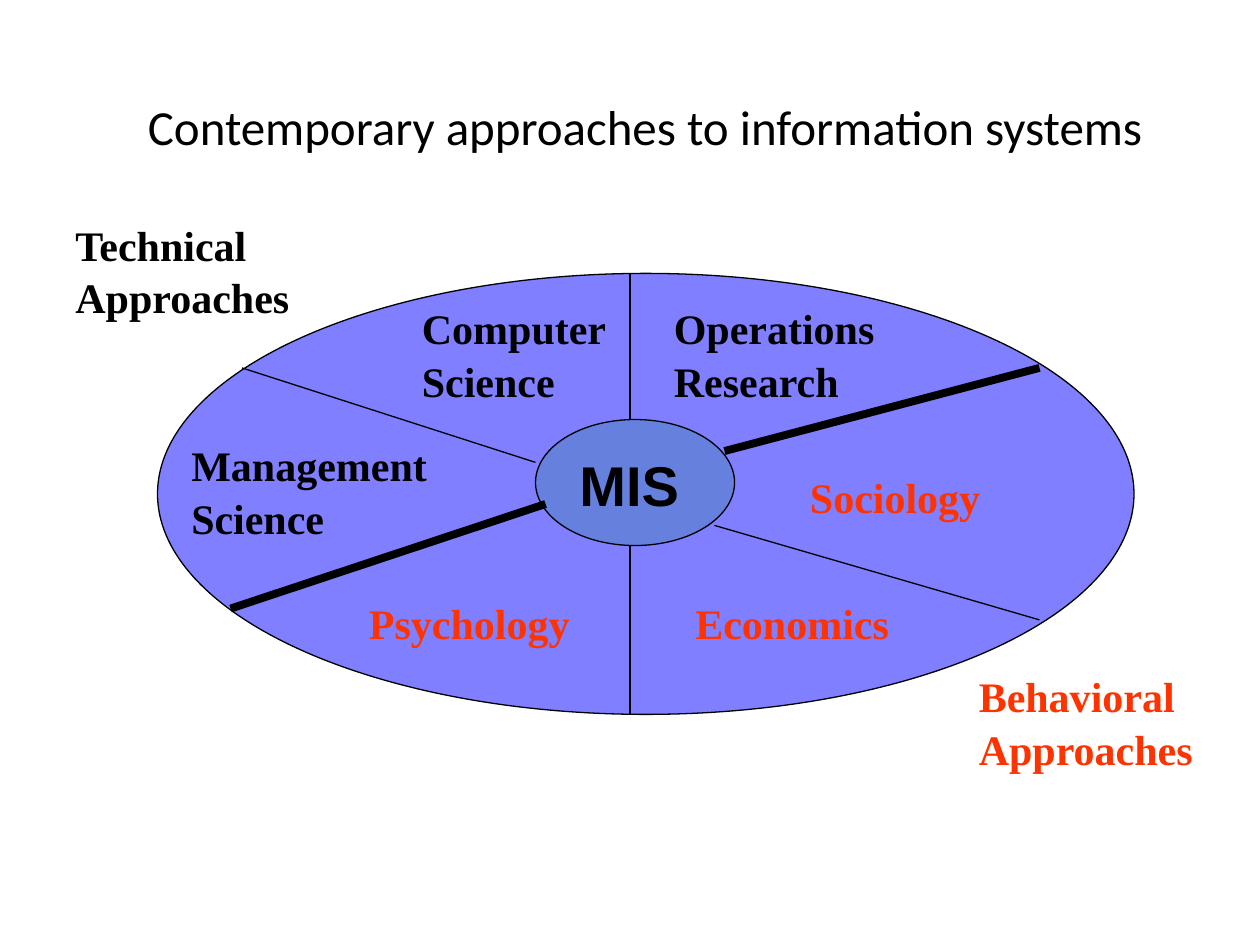
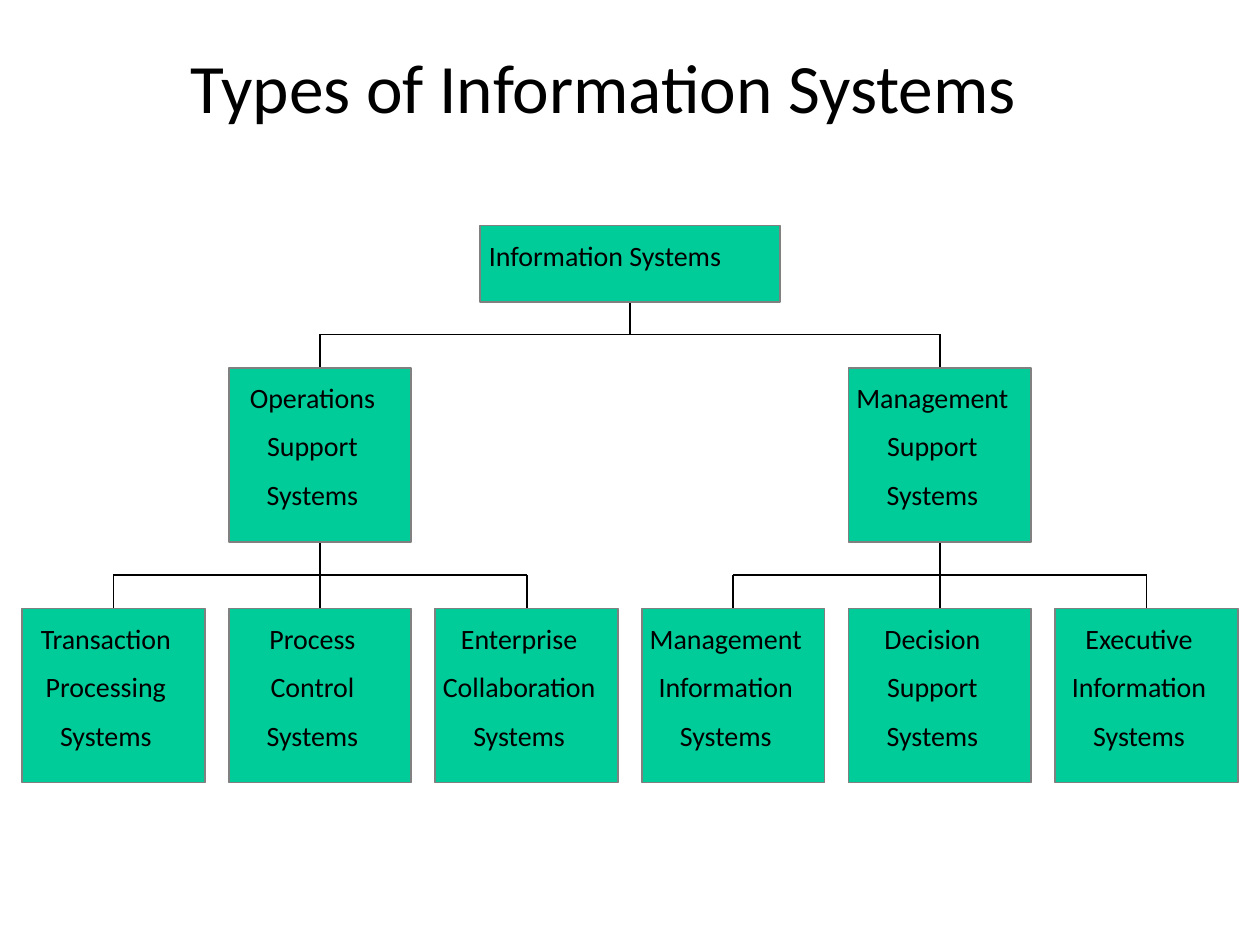
from dataclasses import dataclass

from lxml.etree import SubElement
from pptx import Presentation
from pptx.dml.color import RGBColor
from pptx.enum.shapes import MSO_CONNECTOR, MSO_SHAPE
from pptx.enum.text import MSO_ANCHOR, PP_ALIGN
from pptx.oxml.ns import qn
from pptx.util import Inches, Pt

BLACK = RGBColor(0x00, 0x00, 0x00)
RED = RGBColor(0xFF, 0x33, 0x00)
BLUE = RGBColor(0x00, 0x00, 0xFF)
STEEL = RGBColor(0x4F, 0x81, 0xBD)
GREEN = RGBColor(0x00, 0xCC, 0x99)
GRAY = RGBColor(0x80, 0x80, 0x80)

BODY_FONT = "Calibri"
LABEL_FONT = "Times New Roman"

BOX_W, BOX_H = 1.45, 1.38
COLUMN_STEP = 1.64
LEVEL_TOPS = (1.79, 2.92, 4.83)
BRANCH_DROP = 0.265


@dataclass
class Label:
    text: str
    left: float
    top: float
    width: float
    height: float = 0.9
    color: RGBColor = BLACK
    font: str = LABEL_FONT
    size: float = 24


@dataclass
class Spoke:
    x1: float
    y1: float
    x2: float
    y2: float
    weight: float = 0.75


@dataclass
class System:
    """A box of the tree; column 2.5 is the middle of the slide."""
    lines: tuple[str, ...]
    column: float
    children: tuple["System", ...] = ()
    width: float = BOX_W
    height: float = BOX_H
    align: PP_ALIGN = PP_ALIGN.CENTER

    @property
    def center(self) -> float:
        return 5 + (self.column - 2.5) * COLUMN_STEP


LABELS = (
    Label("Management Science", 1.42, 3.42, 2.17),
    Label("Computer Science", 3.25, 2.33, 1.67),
    Label("Operations Research", 5.25, 2.33, 2),
    Label("MIS", 4.5, 3.5, 1.08, 0.63, font="Arial", size=32),
    Label("Sociology", 6.33, 3.67, 1.92, 0.5, RED),
    Label("Economics", 5.42, 4.67, 1.92, 0.5, RED),
    Label("Psychology", 2.83, 4.67, 1.92, 0.5, RED),
    Label("Behavioral Approaches", 7.67, 5.25, 2, color=RED),
    Label("Technical Approaches", 0.5, 1.67, 2),
)

SPOKES = (
    Spoke(5.75, 3.58, 8.25, 2.92, 4.5),
    Spoke(4.33, 4, 1.83, 4.83, 4.5),
    Spoke(5.67, 4.17, 8.25, 4.92),
    Spoke(4.25, 3.67, 1.92, 2.92),
    Spoke(5, 2.17, 5, 3.33),
    Spoke(5, 4.33, 5, 5.67),
)

OPERATIONS = System(("Operations", "Support", "Systems"), 1, (
    System(("Transaction", "Processing", "Systems"), 0),
    System(("Process", "Control", "Systems"), 1),
    System(("Enterprise", "Collaboration", "Systems"), 2),
))
MANAGEMENT = System(("Management", "Support", "Systems"), 4, (
    System(("Management", "Information", "Systems"), 3),
    System(("Decision", "Support", "Systems"), 4),
    System(("Executive", "Information", "Systems"), 5),
))
ROOT = System(("Information Systems",), 2.5, (OPERATIONS, MANAGEMENT),
              2.38, 0.61, PP_ALIGN.LEFT)


def add_title(slide, text: str, left: float, top: float, width: float,
              height: float, size: float) -> None:
    sp = slide.shapes.add_textbox(Inches(left), Inches(top), Inches(width), Inches(height))
    tf = sp.text_frame
    tf.word_wrap = True
    tf.vertical_anchor = MSO_ANCHOR.MIDDLE
    tf.margin_top = tf.margin_bottom = 0
    p = tf.paragraphs[0]
    p.text = text
    p.alignment = PP_ALIGN.CENTER
    p.font.name = BODY_FONT
    p.font.size = Pt(size)
    p.font.color.rgb = BLACK


def add_line(slide, x1: float, y1: float, x2: float, y2: float, weight: float) -> None:
    line = slide.shapes.add_connector(
        MSO_CONNECTOR.STRAIGHT, Inches(x1), Inches(y1), Inches(x2), Inches(y2))
    line.line.color.rgb = BLACK
    line.line.width = Pt(weight)
    SubElement(line._element.spPr, qn("a:effectLst"))


def add_filled(slide, kind: MSO_SHAPE, left: float, top: float, width: float, height: float,
               fill: RGBColor, outline: RGBColor, weight: float):
    sp = slide.shapes.add_shape(kind, Inches(left), Inches(top), Inches(width), Inches(height))
    sp.shadow.inherit = False
    sp.fill.solid()
    sp.fill.fore_color.rgb = fill
    sp.line.color.rgb = outline
    sp.line.width = Pt(weight)
    return sp


def add_half_clear_ellipse(slide, left: float, top: float, width: float, height: float,
                           fill: RGBColor) -> None:
    sp = add_filled(slide, MSO_SHAPE.OVAL, left, top, width, height, fill, BLACK, 0.75)
    color = sp._element.spPr.find(qn("a:solidFill")).find(qn("a:srgbClr"))
    SubElement(color, qn("a:alpha"), val="50000")


def add_label(slide, label: Label) -> None:
    sp = slide.shapes.add_textbox(Inches(label.left), Inches(label.top),
                                  Inches(label.width), Inches(label.height))
    tf = sp.text_frame
    tf.word_wrap = True
    p = tf.paragraphs[0]
    p.text = label.text
    p.line_spacing = 1.05
    p.font.name = label.font
    p.font.size = Pt(label.size)
    p.font.bold = True
    p.font.color.rgb = label.color


def add_branches(slide, system: System, level: int) -> None:
    """Join a box to its children with a stem, a crossbar and one drop per child."""
    bottom = LEVEL_TOPS[level] + system.height
    child_top = LEVEL_TOPS[level + 1]
    bar = child_top - BRANCH_DROP
    centers = [child.center for child in system.children]
    add_line(slide, system.center, bottom, system.center, bar, 1)
    add_line(slide, centers[0], bar, centers[-1], bar, 1)
    for x in centers:
        add_line(slide, x, bar, x, child_top, 1)


def add_system(slide, system: System, level: int = 0) -> None:
    if system.children:
        add_branches(slide, system, level)
    for child in system.children:
        add_system(slide, child, level + 1)
    sp = add_filled(slide, MSO_SHAPE.RECTANGLE, system.center - system.width / 2,
                    LEVEL_TOPS[level], system.width, system.height, GREEN, GRAY, 1)
    tf = sp.text_frame
    tf.word_wrap = True
    tf.vertical_anchor = MSO_ANCHOR.TOP
    tf.margin_left = Inches(0.07) if system.align == PP_ALIGN.LEFT else 0
    tf.margin_right = Inches(0.12)
    tf.margin_top, tf.margin_bottom = Inches(0.1), 0
    for i, text in enumerate(system.lines):
        p = tf.add_paragraph() if i else tf.paragraphs[0]
        p.text = text
        p.alignment = system.align
        p.space_after = Pt(8.5)
        p.font.name = BODY_FONT
        p.font.size = Pt(16)
        p.font.color.rgb = BLACK


def build_approaches(slide) -> None:
    add_title(slide, "Contemporary approaches to information systems",
              0.87, 0.54, 8.5, 0.92, 28)
    add_half_clear_ellipse(slide, 1.25, 2.17, 7.75, 3.5, BLUE)
    add_half_clear_ellipse(slide, 4.25, 3.33, 1.58, 1, STEEL)
    for spoke in SPOKES:
        add_line(slide, spoke.x1, spoke.y1, spoke.x2, spoke.y2, spoke.weight)
    for label in LABELS:
        add_label(slide, label)


def build_types(slide) -> None:
    add_title(slide, "Types of Information Systems", 0.33, 0.35, 8.92, 0.67, 39.6)
    add_system(slide, ROOT)


def main() -> None:
    prs = Presentation()
    prs.slide_width, prs.slide_height = Inches(10), Inches(7.5)
    for build in (build_approaches, build_types):
        build(prs.slides.add_slide(prs.slide_layouts[6]))
    prs.save("out.pptx")


if __name__ == "__main__":
    main()
